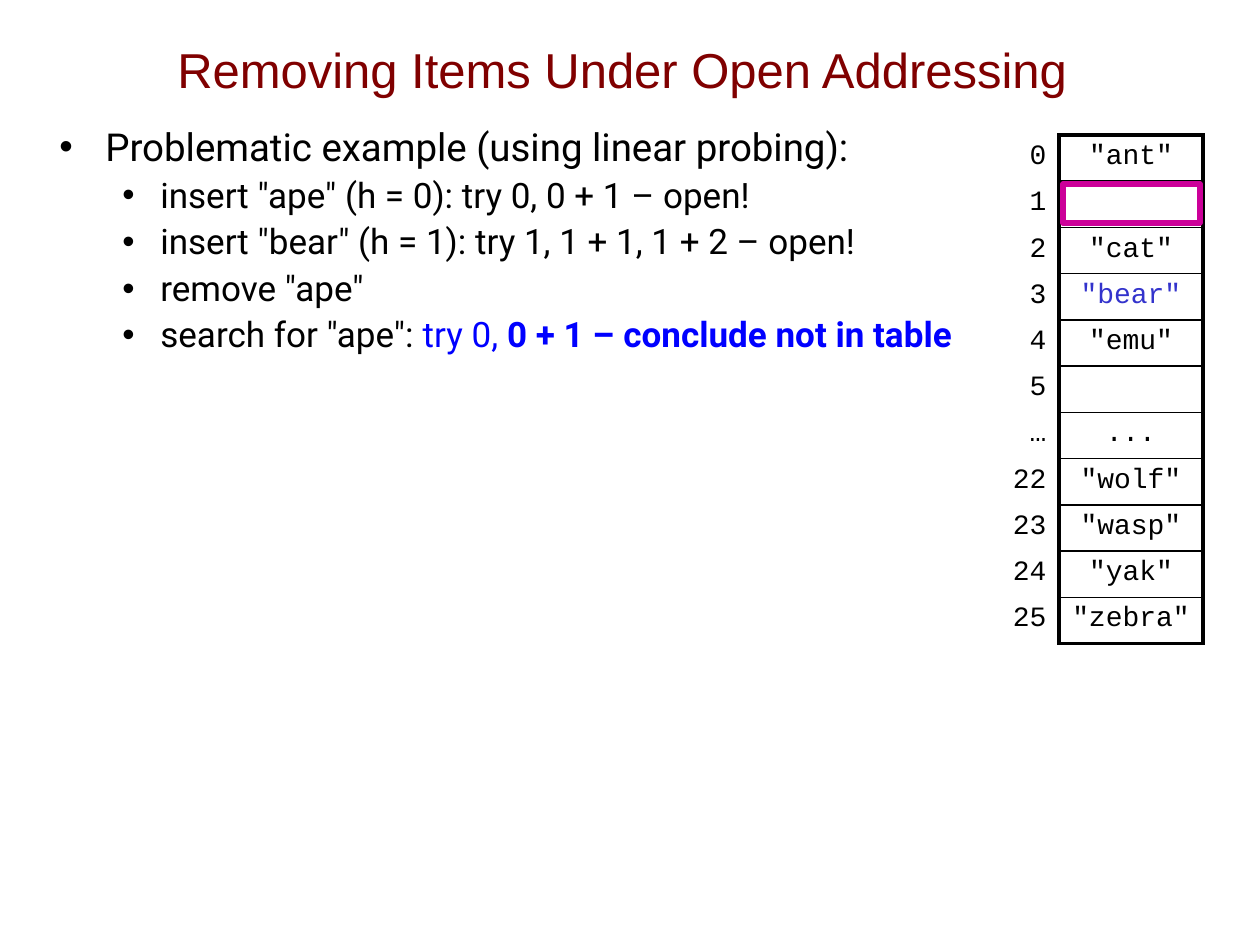
from lxml import etree
from pptx import Presentation
from pptx.dml.color import RGBColor
from pptx.enum.shapes import MSO_SHAPE
from pptx.enum.text import MSO_ANCHOR, PP_ALIGN
from pptx.oxml.ns import qn
from pptx.util import Emu, Pt

RECT = MSO_SHAPE.RECTANGLE
TOP, MIDDLE = MSO_ANCHOR.TOP, MSO_ANCHOR.MIDDLE
LEFT, CENTER, RIGHT = PP_ALIGN.LEFT, PP_ALIGN.CENTER, PP_ALIGN.RIGHT
PX = 914400 // 126
COLORS = {"black": "000000", "title": "800000", "blue": "0000FF",
          "moved": "3333CC", "highlight": "CC0099"}
BULLETS = [
    (0, [("Problematic example (using linear probing):", {})]),
    (1, [('insert "ape" (h = 0): try 0, 0 + 1 – open!', {})]),
    (1, [('insert "bear" (h = 1): try 1, 1 + 1, 1 + 2 – open!', {})]),
    (1, [('remove "ape"', {})]),
    (1, [('search for "ape": ', {}), ("try 0, ", {"color": "blue"}),
         ("0 + 1 – conclude not in table", {"color": "blue", "bold": True})]),
]
HASH_TABLE = [("0", '"ant"'), ("1", ""), ("2", '"cat"'), ("3", '"bear"'),
              ("4", '"emu"'), ("5", ""), ("…", "..."), ("22", '"wolf"'),
              ("23", '"wasp"'), ("24", '"yak"'), ("25", '"zebra"')]


def add_text(p, text, font="Roboto", size=20, color="black", bold=False):
    r = p.add_run()
    r.text = text
    r.font.name, r.font.size, r.font.bold = font, Pt(size), bold
    r.font.color.rgb = RGBColor.from_string(COLORS[color])


def add_child(parent, tag, **attrs):
    child = etree.SubElement(parent, qn(tag))
    for name, value in attrs.items():
        child.set(name, str(value))
    return child


class Deck:
    """Builds slides from pixel measures in one shared style."""

    def __init__(self, width, height):
        self.prs = Presentation()
        self.prs.slide_width, self.prs.slide_height = Emu(width * PX), Emu(height * PX)
        self.s = self.prs.slides.add_slide(self.prs.slide_layouts[6])

    def box(self, x, y, w, h, anchor=TOP):
        sp = self.s.shapes.add_textbox(*(Emu(v * PX) for v in (x, y, w, h)))
        tf = sp.text_frame
        tf.word_wrap, tf.vertical_anchor = True, anchor
        return tf

    def title(self, text, *area):
        p = self.box(*area, anchor=MIDDLE).paragraphs[0]
        p.alignment = CENTER
        add_text(p, text, font="Arial", size=28, color="title")

    def bullets(self, items, *area):
        tf = self.box(*area)
        for i, (level, runs) in enumerate(items):
            p = tf.paragraphs[0] if i == 0 else tf.add_paragraph()
            p.alignment, p.level = LEFT, level
            margin, hang = ((46, 46), (101, 38))[level]
            pPr = p._p.get_or_add_pPr()
            pPr.set("marL", str(margin * PX))
            pPr.set("indent", str(-hang * PX))
            add_child(add_child(pPr, "a:buClr"), "a:srgbClr", val=COLORS["black"])
            add_child(pPr, "a:buFont", typeface="Arial")
            add_child(pPr, "a:buChar", char="•")
            if level:
                p.line_spacing, p.space_before = 0.9, Pt(5)
            for text, style in runs:
                add_text(p, text, size=20 if level else 22, **style)

    def borders(self, cell, left=0, right=0, top=0, bottom=0):
        tcPr = cell._tc.get_or_add_tcPr()
        for side, width in zip("LRTB", (left, right, top, bottom)):
            ln = add_child(tcPr, f"a:ln{side}", w=Pt(width))
            if width:
                fill = add_child(ln, "a:solidFill")
                add_child(fill, "a:srgbClr", val=COLORS["black"])
            else:
                add_child(ln, "a:noFill")

    def cell_text(self, cell, text, align, color):
        p = cell.text_frame.paragraphs[0]
        p.alignment = align
        if text:
            add_text(p, text, font="Courier New", size=16, color=color)
        else:
            add_child(p._p, "a:endParaRPr", sz=1600)
            cell.margin_top = cell.margin_bottom = 0

    def table(self, rows, x, y, col_widths, row_height, accents):
        last = len(rows) - 1
        w, h = sum(col_widths), len(rows) * row_height
        frame = self.s.shapes.add_table(len(rows), len(col_widths),
                                        *(Emu(v * PX) for v in (x, y, w, h)))
        tbl = frame.table
        tbl.first_row = tbl.horz_banding = False
        for col, width in zip(tbl.columns, col_widths):
            col.width = Emu(width * PX)
        for i, texts in enumerate(rows):
            tbl.rows[i].height = Emu(row_height * PX)
            label, value = tbl.cell(i, 0), tbl.cell(i, 1)
            self.borders(label, right=2.25)
            self.borders(value, left=2.25, right=2.25, top=1 if i else 2.25,
                         bottom=1 if i < last else 2.25)
            for cell, text, align in zip((label, value), texts, (RIGHT, CENTER)):
                cell.fill.background()
                self.cell_text(cell, text, align, accents.get(text, "black"))

    def outline(self, x, y, w, h, color, width):
        sp = self.s.shapes.add_shape(RECT, *(Emu(v * PX) for v in (x, y, w, h)))
        sp.shadow.inherit = False
        sp.fill.background()
        sp.line.color.rgb = RGBColor.from_string(COLORS[color])
        sp.line.width = Pt(width)

    def save(self):
        self.prs.save("out.pptx")


def main():
    deck = Deck(1260, 945)
    deck.title("Removing Items Under Open Addressing", 80, 10, 1084, 117)
    deck.bullets(BULLETS, 47, 117, 1165, 774)
    deck.table(HASH_TABLE, 915, 135, (144, 144), 46, {'"bear"': "moved"})
    deck.outline(1063, 184, 137, 39, "highlight", 3)
    deck.save()


if __name__ == "__main__":
    main()
